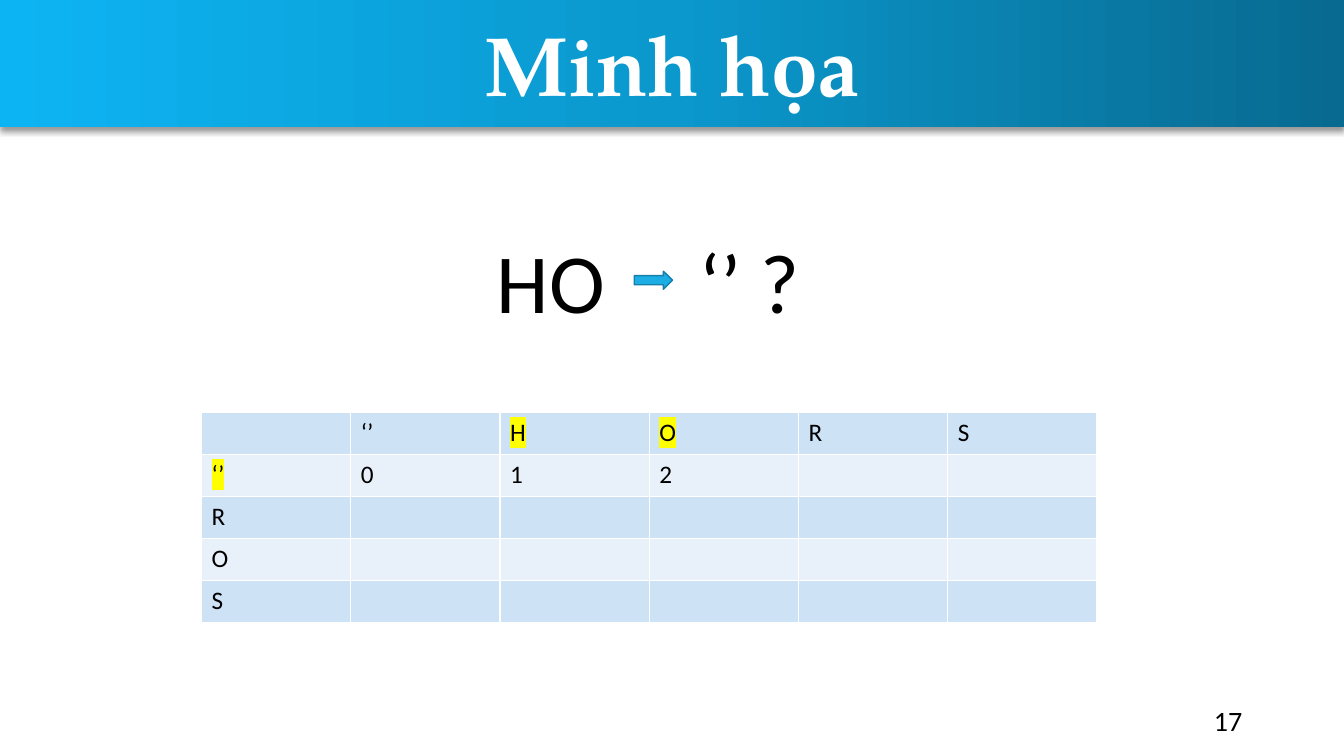
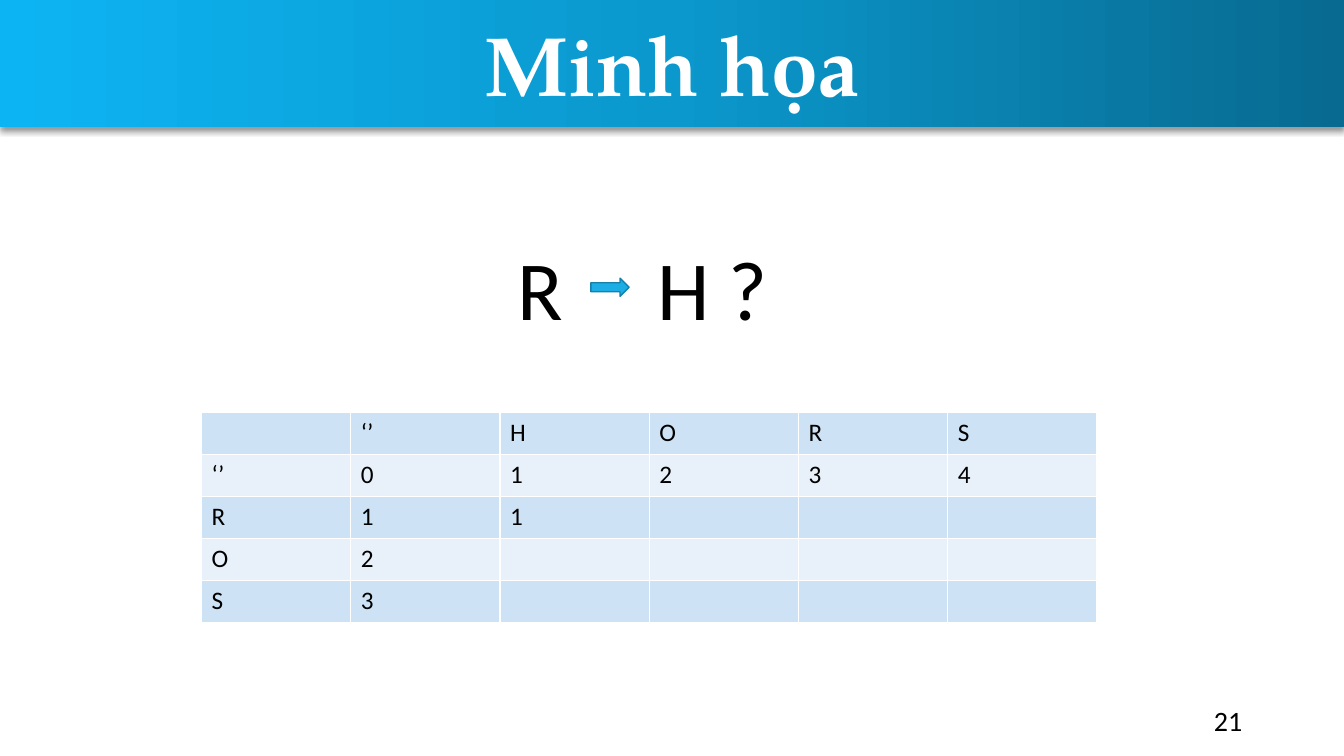
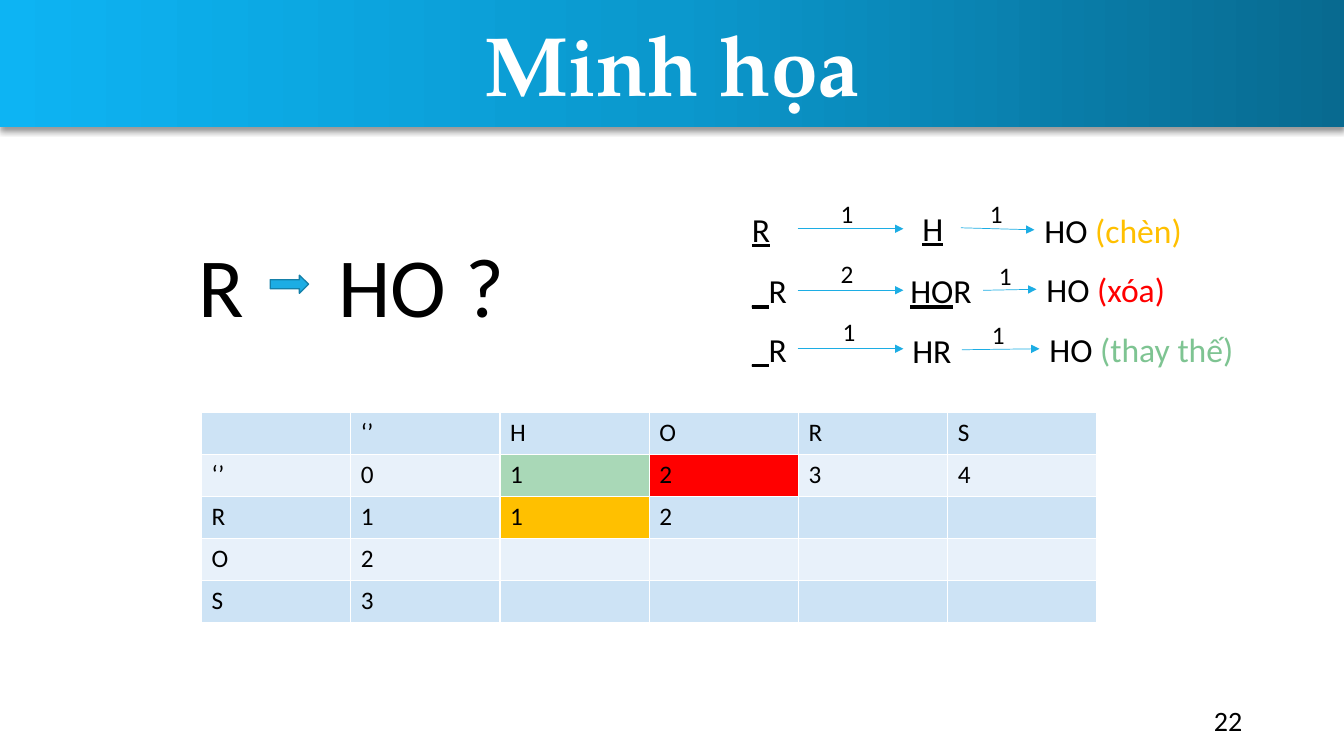
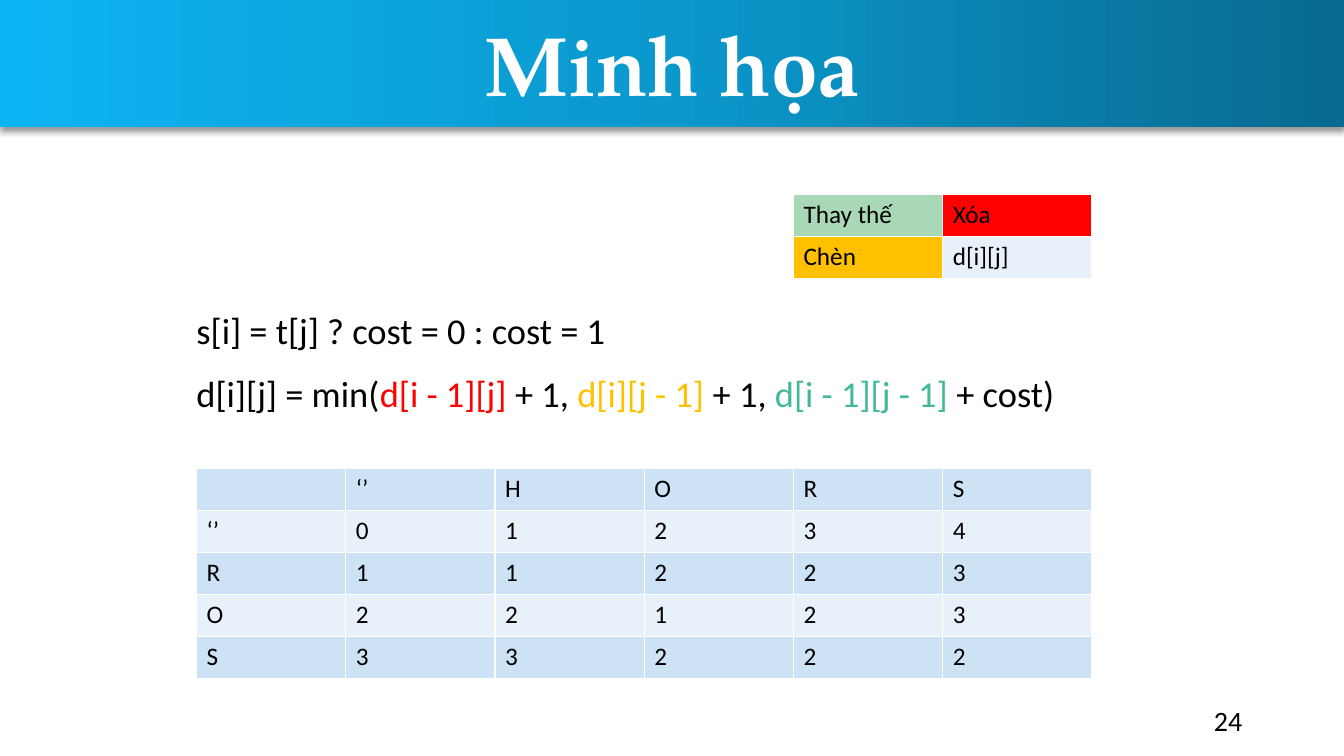
from dataclasses import dataclass, field
from typing import NamedTuple

from lxml.etree import SubElement
from pptx import Presentation
from pptx.dml.color import RGBColor
from pptx.enum.shapes import MSO_CONNECTOR as Line, MSO_SHAPE as Kind
from pptx.enum.text import MSO_ANCHOR as Anchor, PP_ALIGN as Align
from pptx.oxml import parse_xml
from pptx.oxml.ns import nsdecls, qn
from pptx.util import Inches, Pt

HEX = {
    "ink": "000000", "white": "FFFFFF", "sky": "1CADE4", "rim": "1580A9",
    "deep": "086A90", "mid": "0B98CD", "light": "0DB4F3",
    "odd": "CDE3F5", "even": "E8F1FA", "mark": "FFFF00",
    "red": "FF0000", "gold": "FFC000", "mint": "A9D8B7",
    "leaf": "7EC492", "teal": "42BA97",
}
BODY, HEAD = "Calibri", "TeX Gyre Pagella"
TITLE = "Minh họa"
WIDE, HIGH = 13.33, 7.5
COL, ROW = 1.48, 0.417
TOP = ["", "‘’", "H", "O", "R", "S"]
SIDE = ["‘’", "R", "O", "S"]


class Bit(NamedTuple):
    text: str
    tint: str = "ink"
    under: bool = False


class Box(NamedTuple):
    x: float
    y: float
    w: float
    h: float


class Ask(NamedTuple):
    """A question in large type; stop is the tab after the arrow."""
    text: str
    x: float
    y: float
    stop: float
    tip: float


class Step(NamedTuple):
    """One row of the path: three words, two arrows and their costs."""
    y: float
    first: list[Bit]
    mid: list[Bit]
    last: list[Bit]
    mid_at: Box
    last_at: Box
    cost: str
    cost_at: tuple[float, float]
    one_at: tuple[float, float]


@dataclass
class Page:
    num: int
    vals: list[str]
    x: float = 2
    y: float = 4.09
    ask: Ask | None = None
    fills: dict = field(default_factory=dict)
    marks: set = field(default_factory=set)


def rgb(name: str) -> RGBColor:
    return RGBColor.from_string(HEX[name])


def style(run, size: float, tint: str = "ink", face: str = BODY) -> None:
    font = run.font
    font.size, font.name = Pt(size), face
    font.color.rgb = rgb(tint)


def write(slide, box: Box, bits: list[Bit], size: float):
    shape = slide.shapes.add_textbox(*map(Inches, box))
    frame = shape.text_frame
    frame.word_wrap = True
    frame.margin_right = 0
    for bit in bits:
        run = frame.paragraphs[0].add_run()
        run.text = bit.text
        style(run, size, bit.tint)
        if bit.under:
            run.font.underline = True
    return shape


def banner(slide) -> None:
    """Shaded band behind the title."""
    band = slide.shapes.add_shape(Kind.RECTANGLE, 0, 0, Inches(WIDE), Inches(1.26))
    band.line.fill.background()
    band.shadow.inherit = False
    stops = "".join(
        f'<a:gs pos="{at}"><a:srgbClr val="{HEX[name]}"/></a:gs>'
        for at, name in ((0, "deep"), (50000, "mid"), (100000, "light")))
    prop = band.element.spPr
    prop.find(qn("a:prstGeom")).addnext(parse_xml(
        f'<a:gradFill {nsdecls("a")} rotWithShape="1"><a:gsLst>{stops}</a:gsLst>'
        '<a:lin ang="10800000" scaled="0"/></a:gradFill>'))
    prop.find(qn("a:effectLst")).append(parse_xml(
        f'<a:outerShdw {nsdecls("a")} blurRad="{Pt(4)}" dist="{Pt(3)}" dir="5400000" '
        f'rotWithShape="0"><a:srgbClr val="{HEX["ink"]}"><a:alpha val="40000"/>'
        '</a:srgbClr></a:outerShdw>'))

    title = slide.shapes.title
    title.element.addprevious(band.element)
    title.left, title.top = 0, Inches(0.07)
    title.width, title.height = Inches(WIDE), Inches(1.11)
    frame = title.text_frame
    frame.text = TITLE
    frame.vertical_anchor = Anchor.TOP
    para = frame.paragraphs[0]
    para.alignment = Align.CENTER
    style(para.runs[0], 60, "white", HEAD)
    para.runs[0].font.bold = True


def footer(slide, num: int) -> None:
    shape = write(slide, Box(9.42, 6.95, 3, 0.4), [Bit(str(num))], 20)
    frame = shape.text_frame
    frame.margin_right = Inches(0.1)
    frame.vertical_anchor = Anchor.MIDDLE
    frame.paragraphs[0].alignment = Align.RIGHT


def border(cell) -> None:
    prop = cell._tc.get_or_add_tcPr()
    for side in ("lnL", "lnR", "lnT", "lnB"):
        prop.append(parse_xml(
            f'<a:{side} {nsdecls("a")} w="{Pt(1)}"><a:solidFill>'
            f'<a:srgbClr val="{HEX["white"]}"/></a:solidFill></a:{side}>'))


def mark(run) -> None:
    """Put a highlight behind a run that already has its font."""
    tag = parse_xml(f'<a:highlight {nsdecls("a")}><a:srgbClr val="{HEX["mark"]}"/>'
                    '</a:highlight>')
    run._r.get_or_add_rPr().find(qn("a:latin")).addprevious(tag)


def grid(slide, x: float, y: float, rows: list[list[str]],
         fills: dict, marks: set) -> None:
    high, wide = len(rows), len(rows[0])
    table = slide.shapes.add_table(high, wide, Inches(x), Inches(y),
                                   Inches(COL * wide), Inches(ROW * high)).table
    table.first_row = table.horz_banding = False
    for col in table.columns:
        col.width = Inches(COL)
    for r, row in enumerate(rows):
        table.rows[r].height = Inches(ROW)
        for c, text in enumerate(row):
            cell = table.cell(r, c)
            border(cell)
            cell.fill.solid()
            cell.fill.fore_color.rgb = rgb(fills.get((r, c), "even" if r % 2 else "odd"))
            cell.text_frame.text = text
            for run in cell.text_frame.paragraphs[0].runs:
                style(run, 18)
                if (r, c) in marks:
                    mark(run)


def matrix(page: Page) -> list[list[str]]:
    """Rows of the distance table, with blanks for values not yet known."""
    size = len(TOP) - 1
    return [TOP] + [[name, *vals.ljust(size).replace(" ", "_")]
                    for name, vals in zip(SIDE, page.vals)]


def pose(slide, ask: Ask) -> None:
    shape = write(slide, Box(ask.x, ask.y, 3.6, 1.11), [Bit(ask.text)], 60)
    prop = shape.text_frame.paragraphs[0]._p.get_or_add_pPr()
    SubElement(SubElement(prop, qn("a:tabLst")), qn("a:tab"),
               pos=str(Inches(ask.stop)), algn="l")
    tip = slide.shapes.add_shape(Kind.RIGHT_ARROW, Inches(ask.tip),
                                 Inches(ask.y + 0.46), Inches(0.38), Inches(0.18))
    tip.shadow.inherit = False
    tip.fill.solid()
    tip.fill.fore_color.rgb = rgb("sky")
    tip.line.color.rgb = rgb("rim")
    tip.line.width = Pt(1)


def arrow(slide, start, stop=None, end: float = 0) -> None:
    """Arrow from the right of one box to the left of another, or to x = end."""
    y = start.top + start.height // 2
    line = slide.shapes.add_connector(Line.STRAIGHT, start.left + start.width, y,
                                      Inches(end), y)
    line.begin_connect(start, 3)
    if stop is not None:
        line.end_connect(stop, 1)
    line.line.color.rgb = rgb("sky")
    line.line.width = Pt(0.5)
    prop = line.element.spPr
    SubElement(prop.find(qn("a:ln")), qn("a:tailEnd"), type="triangle")
    SubElement(prop, qn("a:effectLst"))


def trail(slide, step: Step) -> None:
    first = write(slide, Box(7.36, step.y, 0.55, 0.5), step.first, 24)
    mid = write(slide, step.mid_at, step.mid, 24)
    last = write(slide, step.last_at, step.last, 24)
    arrow(slide, first, end=8.96)
    arrow(slide, mid, last)
    for text, at in ((step.cost, step.cost_at), ("1", step.one_at)):
        write(slide, Box(*at, 0.33, 0.4), [Bit(text)], 18)


KNOWN = ["01234", "11", "2", "3"]
PAGES = [
    Page(17, ["012", "", "", ""], ask=Ask("HO\t‘’ ?", 4.83, 2.23, 2.01, 6.29),
         marks={(0, 2), (0, 3), (1, 0)}),
    Page(21, KNOWN, ask=Ask("R\tH ?", 5.03, 2.3, 1.39, 5.86)),
    Page(22, ["01234", "112", "2", "3"], ask=Ask("R\tHO ?", 1.87, 2.27, 1.39, 2.68),
         fills={(1, 2): "mint", (1, 3): "red", (2, 2): "gold"}),
    Page(24, ["01234", "11223", "22123", "33222"], x=1.95, y=4.65),
]
GAP = [Bit("_", under=True), Bit("R")]
STEPS = [
    Step(2.02, [Bit("R", under=True)], [Bit("H", under=True)],
         [Bit("HO "), Bit("(chèn)", "gold")],
         Box(9.05, 2.01, 0.48, 0.5), Box(10.26, 2.03, 1.58, 0.5),
         "1", (8.24, 1.92), (9.72, 1.92)),
    Step(2.63, GAP, [Bit("HO", under=True), Bit("R")],
         [Bit("HO "), Bit("(xóa)", "red")],
         Box(8.93, 2.63, 0.82, 0.5), Box(10.28, 2.62, 1.39, 0.5),
         "2", (8.24, 2.51), (9.81, 2.53)),
    Step(3.21, GAP, [Bit("HR")], [Bit("HO "), Bit("(thay thế)", "leaf")],
         Box(8.95, 3.22, 0.59, 0.5), Box(10.31, 3.21, 2.04, 0.5),
         "1", (8.26, 3.09), (9.74, 3.12)),
]
COST = [Bit("s[i] = t[j] ? cost = 0 : cost = 1")]
RULE = [Bit("d[i][j] = min("), Bit("d[i - 1][j] ", "red"), Bit("+ 1, "),
        Bit("d[i][j - 1]", "gold"), Bit(" + 1, "),
        Bit("d[i - 1][j - 1]", "teal"), Bit(" + cost)")]
KEY = [["Thay thế", "Xóa"], ["Chèn", "d[i][j]"]]
KEY_FILLS = {(0, 0): "mint", (0, 1): "red", (1, 0): "gold"}


def main() -> None:
    deck = Presentation()
    deck.slide_width, deck.slide_height = Inches(WIDE), Inches(HIGH)
    for page in PAGES:
        slide = deck.slides.add_slide(deck.slide_layouts.get_by_name("Title Only"))
        banner(slide)
        rows = [[text.strip("_") for text in row] for row in matrix(page)]
        grid(slide, page.x, page.y, rows, page.fills, page.marks)
        if page.ask:
            pose(slide, page.ask)
        if page.num == 22:
            for step in STEPS:
                trail(slide, step)
        if page.num == 24:
            write(slide, Box(1.85, 3.63, 8.9, 0.54), RULE, 26)
            write(slide, Box(1.85, 3.01, 4.3, 0.54), COST, 26)
            grid(slide, 7.87, 1.93, KEY, KEY_FILLS, set())
        footer(slide, page.num)
    deck.save("out.pptx")


if __name__ == "__main__":
    main()
